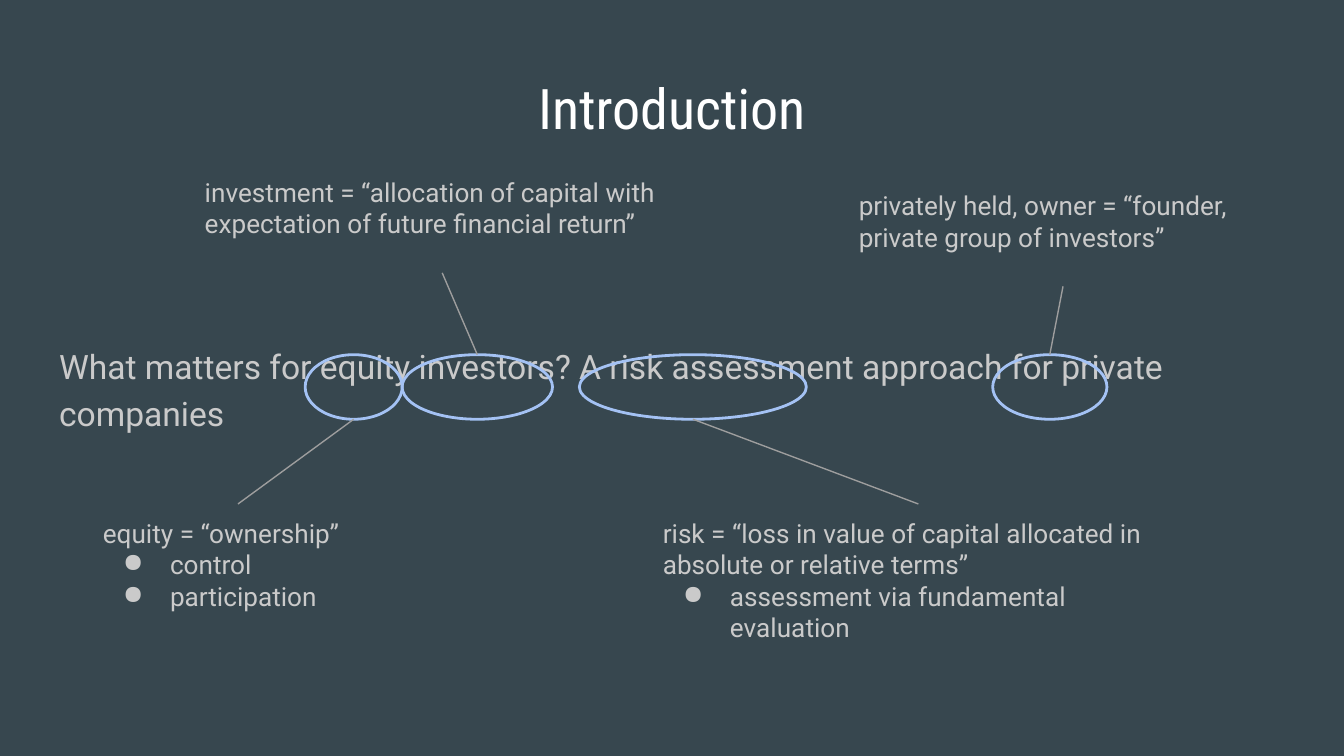
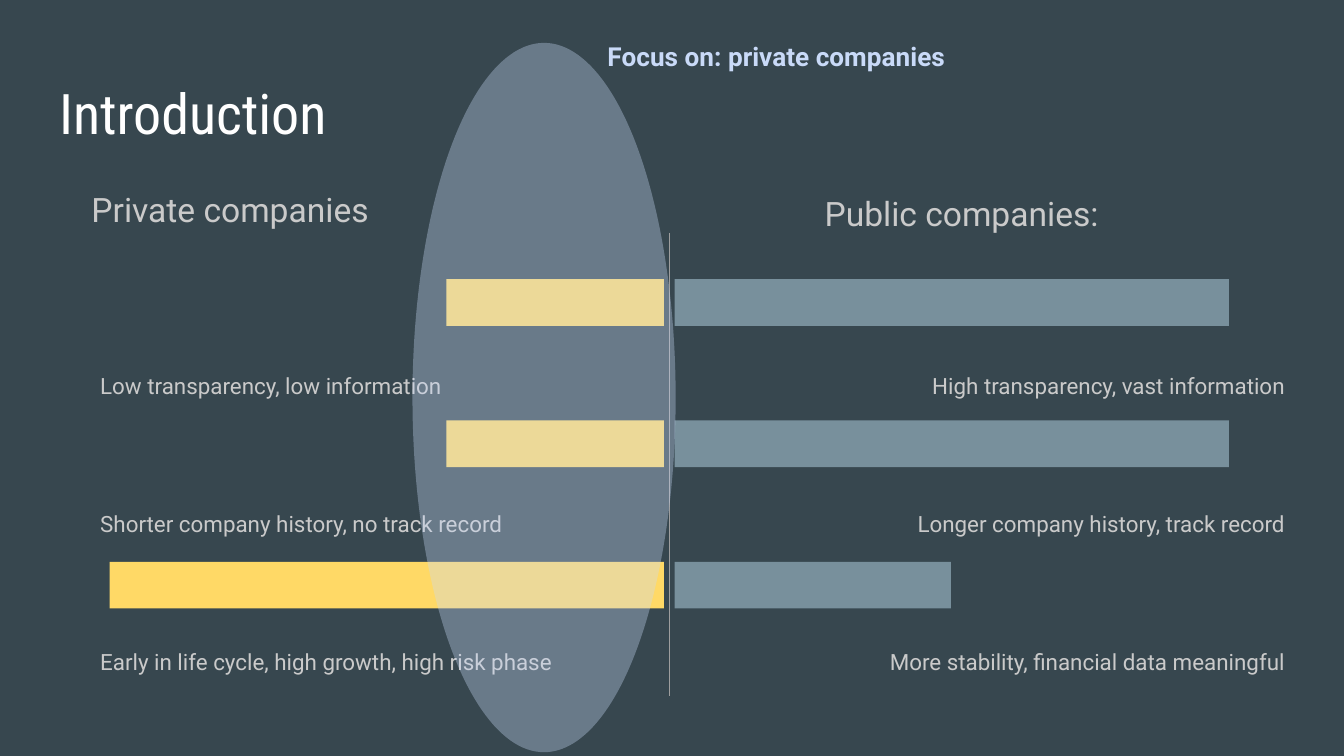
import pptx
import pptx.util
import pptx.dml.color
import pptx.enum.shapes
import pptx.enum.text
import pptx.oxml
import pptx.oxml.ns
from lxml import etree

Pt = pptx.util.Pt
RGBColor = pptx.dml.color.RGBColor
Shape = pptx.enum.shapes.MSO_SHAPE
Align = pptx.enum.text.PP_ALIGN
Anchor = pptx.enum.text.MSO_ANCHOR
qn = pptx.oxml.ns.qn

SLATE = RGBColor(0x37, 0x47, 0x4F)
WHITE = RGBColor(0xFF, 0xFF, 0xFF)
TEXT_GREY = RGBColor(0xCA, 0xCA, 0xCA)
LINE_GREY = RGBColor(0x9E, 0x9E, 0x9E)
RING_BLUE = RGBColor(0xA4, 0xC2, 0xF4)
FOCUS_BLUE = RGBColor(0xC9, 0xDA, 0xF8)
PUBLIC_BLUE = RGBColor(0x78, 0x90, 0x9C)
PRIVATE_YELLOW = RGBColor(0xFF, 0xD9, 0x66)

TITLE_FONT = "Roboto Condensed"
BODY_FONT = "Roboto"
INSET = Pt(7.2)


class Deck:
    """Shared style and the slide being built. Boxes are (left, top, width, height) in points."""

    def __init__(self):
        self.prs = pptx.Presentation()
        self.prs.slide_width, self.prs.slide_height = Pt(720), Pt(405)
        background = self.prs.slide_master.background.fill
        background.solid()
        background.fore_color.rgb = SLATE
        self.slide = None

    def new_slide(self, title, align=Align.LEFT, anchor=Anchor.TOP):
        self.slide = self.prs.slides.add_slide(self.prs.slide_layouts[1])
        heading = self.slide.shapes.title
        self.place(heading, (24.5, 35, 671, 45))
        self.fill_text(heading, [title], 30, WHITE, TITLE_FONT, align=align, anchor=anchor)

    def place(self, shape, box):
        shape.left, shape.top, shape.width, shape.height = map(Pt, box)

    def fill_text(self, shape, lines, size, color=TEXT_GREY, font=BODY_FONT, bold=False,
                  align=Align.LEFT, anchor=Anchor.TOP, spacing=1.0, bullets=False):
        """Fill a shape with text; with bullets, every line after the first is an item."""
        frame = shape.text_frame
        frame.word_wrap = True
        frame.auto_size = pptx.enum.text.MSO_AUTO_SIZE.NONE
        frame.vertical_anchor = anchor
        frame.margin_left = frame.margin_right = INSET
        frame.margin_top = frame.margin_bottom = INSET
        for i, line in enumerate(lines):
            paragraph = frame.paragraphs[0] if i == 0 else frame.add_paragraph()
            paragraph.text = line
            paragraph.alignment = align
            paragraph.line_spacing = spacing
            paragraph.space_before = Pt(0)
            self.set_bullet(paragraph, bullets and i > 0, color)
            paragraph.font.size = Pt(size)
            paragraph.font.name = font
            paragraph.font.bold = bold
            paragraph.font.color.rgb = color

    def set_bullet(self, paragraph, shown, color):
        props = paragraph._p.get_or_add_pPr()
        props.set("marL", str(Pt(36) if shown else 0))
        props.set("indent", str(Pt(-25.2) if shown else 0))
        if shown:
            bullet_color = etree.SubElement(props, qn("a:buClr"))
            etree.SubElement(bullet_color, qn("a:srgbClr"), val=str(color))
            etree.SubElement(props, qn("a:buChar"), char="●")
        else:
            etree.SubElement(props, qn("a:buNone"))

    def body(self, text, box):
        placeholder = self.slide.placeholders[1]
        self.place(placeholder, box)
        self.fill_text(placeholder, [text], 18, spacing=1.15)

    def text(self, lines, box, size=14, **style):
        text_box = self.slide.shapes.add_textbox(*map(Pt, box))
        self.fill_text(text_box, lines, size, **style)
        return text_box

    def shape(self, kind, box, fill=None, line=None, opacity=None):
        shape = self.slide.shapes.add_shape(kind, *map(Pt, box))
        shape.shadow.inherit = False
        if fill is None:
            shape.fill.background()
        else:
            shape.fill.solid()
            shape.fill.fore_color.rgb = fill
        if opacity is not None:
            color = shape._element.spPr.find(qn("a:solidFill"))[0]
            etree.SubElement(color, qn("a:alpha"), val=str(opacity * 1000))
        if line is None:
            shape.line.fill.background()
        else:
            shape.line.color.rgb = line
            shape.line.width = Pt(1.5)

    def line(self, start, end, target=None, side=0):
        connector = self.slide.shapes.add_connector(
            pptx.enum.shapes.MSO_CONNECTOR.STRAIGHT, *map(Pt, start + end))
        if target is not None:
            connector.end_connect(target, side)
        connector.line.color.rgb = LINE_GREY
        connector.line.width = Pt(0.75)
        etree.SubElement(connector._element.spPr, qn("a:effectLst"))


def build_definitions(deck):
    deck.new_slide("Introduction", Align.CENTER, Anchor.MIDDLE)
    deck.body("What matters for equity investors? A risk assessment approach for private companies",
              (24.5, 175, 671, 55))

    # Circled terms, each tied to its definition above or below
    ring_top, ring_height = 190, 34.6
    top, bottom = 0, 2
    terms = [
        # ring left, ring width, definition box, side of the definition, lines
        (163.5, 52, (48, 270, 159, 59), top,
         ["equity = “ownership”", "control", "participation"]),
        (215.4, 80.6, (102.6, 87.2, 268.6, 59), bottom,
         ["investment = “allocation of capital with expectation of future financial return”"]),
        (310.4, 121.6, (348, 270, 288, 59), top,
         ["risk = “loss in value of capital allocated in absolute or relative terms”",
          "assessment via fundamental evaluation"]),
        (531.8, 61.2, (453, 94.4, 233, 59), bottom,
         ["privately held, owner = “founder, private group of investors”"]),
    ]
    for ring_left, ring_width, box, side, lines in terms:
        deck.shape(Shape.OVAL, (ring_left, ring_top, ring_width, ring_height), line=RING_BLUE)
        definition = deck.text(lines, box, bullets=True)
        ring_edge = ring_top + ring_height if side == top else ring_top
        start = (ring_left + ring_width / 2, ring_edge)
        deck.line(start, start, definition, side)


def build_comparison(deck):
    deck.new_slide("Introduction")
    deck.body("Private companies", (41.8, 90.7, 243.4, 37.4))
    deck.text(["Public companies:"], (434.7, 93, 236, 33), 18, spacing=1.15)
    deck.line((358.6, 124.8), (358.6, 372.8))

    # Bars growing out from the centre line, with a label under each
    private_edge, public_edge, bar_height = 355.7, 361.4, 25
    full, short, half = 297, 116.6, 148
    rows = [
        (short, full, "Low transparency, low information", "High transparency, vast information"),
        (short, full, "Shorter company history, no track record", "Longer company history, track record"),
        (full, half, "Early in life cycle, high growth, high risk phase",
         "More stability, financial data meaningful"),
    ]
    for i, (private_width, public_width, private_label, public_label) in enumerate(rows):
        bar_top, label_top = 149.6 + 75.7 * i, 190 + 73.8 * i
        deck.shape(Shape.RECTANGLE, (public_edge, bar_top, public_width, bar_height), PUBLIC_BLUE)
        deck.shape(Shape.RECTANGLE,
                   (private_edge - private_width, bar_top, private_width, bar_height), PRIVATE_YELLOW)
        deck.text([private_label], (46.6, label_top, 276.5 if i == 2 else 243.4, 37.4), 12, spacing=1.15)
        deck.text([public_label], (452.2, label_top, 243.4, 37.4), 12, align=Align.RIGHT, spacing=1.15)

    # Focus highlight
    deck.shape(Shape.OVAL, (221, 23, 141, 380), FOCUS_BLUE, opacity=35)
    deck.text(["Focus on: private companies"], (318.4, 14.4, 271.4, 53.3), color=FOCUS_BLUE, bold=True)


def main():
    deck = Deck()
    build_definitions(deck)
    build_comparison(deck)
    deck.prs.save("out.pptx")


if __name__ == "__main__":
    main()
